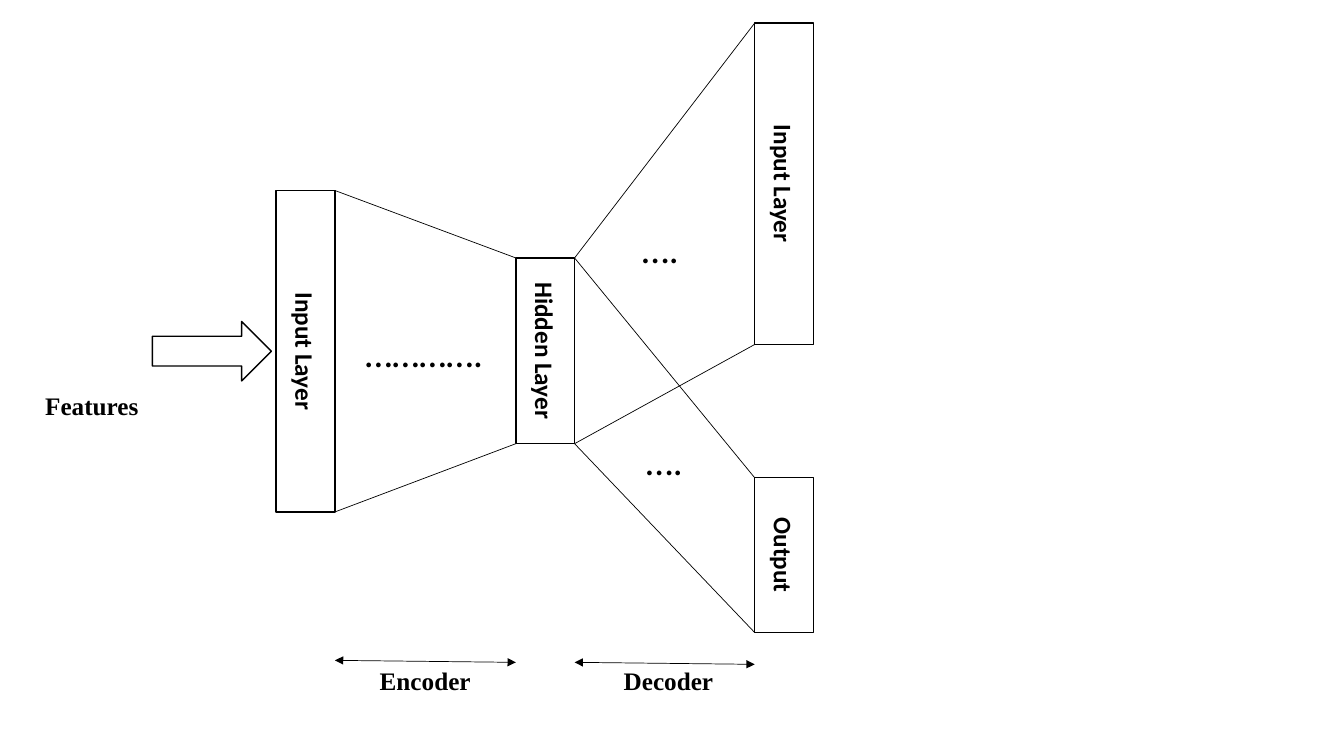
from lxml import etree
from pptx import Presentation
from pptx.dml.color import RGBColor
from pptx.enum import shapes, text
from pptx.oxml import ns
from pptx.util import Cm, Pt

BLACK = "000000"
WHITE = "FFFFFF"
SERIF = "Times New Roman"
SANS = "Calibri"
LAYER_W = 1.48


def color(value):
    return RGBColor.from_string(value)


def add_run(tf, content, size, font, bold, align):
    p = tf.paragraphs[0]
    p.alignment = align
    r = p.add_run()
    r.text = content
    r.font.size = Pt(size)
    r.font.name = font
    r.font.bold = bold
    r.font.color.rgb = color(BLACK)


def add_label(s, content, x, y, w, h, size=18, font=SERIF, bold=True,
              align=text.PP_ALIGN.LEFT):
    sp = s.shapes.add_textbox(Cm(x), Cm(y), Cm(w), Cm(h))
    tf = sp.text_frame
    tf.word_wrap = True
    tf.auto_size = text.MSO_AUTO_SIZE.SHAPE_TO_FIT_TEXT
    add_run(tf, content, size, font, bold, align)


def add_dots(s, content, x, y):
    add_label(s, content, x, y, 3.76, 1.45, 28, SANS, False,
              text.PP_ALIGN.CENTER)


def add_box(s, kind, x, y, w, h):
    sp = s.shapes.add_shape(kind, Cm(x), Cm(y), Cm(w), Cm(h))
    sp.shadow.inherit = False
    sp.fill.solid()
    sp.fill.fore_color.rgb = color(WHITE)
    sp.line.color.rgb = color(BLACK)
    sp.line.width = Pt(1)
    return sp


def add_layer(s, content, x, y, h):
    sp = add_box(s, shapes.MSO_SHAPE.RECTANGLE, x, y, LAYER_W, h)
    tf = sp.text_frame
    tf.vertical_anchor = text.MSO_ANCHOR.MIDDLE
    tf._txBody.bodyPr.set("vert", "vert")
    add_run(tf, content, 18, SANS, True, text.PP_ALIGN.CENTER)
    return sp


def add_line(s, x1, y1, x2, y2, arrows=False):
    line = s.shapes.add_connector(shapes.MSO_CONNECTOR.STRAIGHT, x1, y1, x2, y2)
    line.line.color.rgb = color(BLACK)
    line.line.width = Pt(0.5)
    if arrows:
        ln = line.line._get_or_add_ln()
        for end in ("a:headEnd", "a:tailEnd"):
            etree.SubElement(ln, ns.qn(end), type="triangle")
    etree.SubElement(line._element.spPr, ns.qn("a:effectLst"))


def link_layers(s, left, right):
    x1, x2 = left.left + left.width, right.left
    add_line(s, x1, left.top, x2, right.top)
    add_line(s, x1, left.top + left.height, x2, right.top + right.height)


def add_span(s, left, right, y):
    add_line(s, left.left + left.width, Cm(y), right.left, Cm(y + 0.05), True)


def main():
    prs = Presentation()
    prs.slide_width = Cm(33.87)
    prs.slide_height = Cm(19.05)
    s = prs.slides.add_slide(prs.slide_layouts[6])

    add_label(s, "Features", 0.89, 9.7, 3.23, 1.02)
    add_box(s, shapes.MSO_SHAPE.RIGHT_ARROW, 3.84, 8.1, 3, 1.5)

    source = add_layer(s, "Input Layer", 6.96, 4.8, 8.1)
    hidden = add_layer(s, "Hidden Layer", 13, 6.5, 4.68)
    output = add_layer(s, "Output", 19.02, 12.04, 3.9)
    rebuilt = add_layer(s, "Input Layer", 19.02, 0.58, 8.1)

    for left, right in ((source, hidden), (hidden, rebuilt), (hidden, output)):
        link_layers(s, left, right)

    add_dots(s, "………….", 8.81, 8.15)
    add_dots(s, "….", 14.76, 5.54)
    add_dots(s, "….", 14.86, 10.87)

    add_span(s, source, hidden, 16.64)
    add_span(s, hidden, output, 16.69)
    for content, x in (("Encoder", 9.32), ("Decoder", 15.47)):
        add_label(s, content, x, 16.64, 4.55, 1.04)

    prs.save("out.pptx")


if __name__ == "__main__":
    main()
